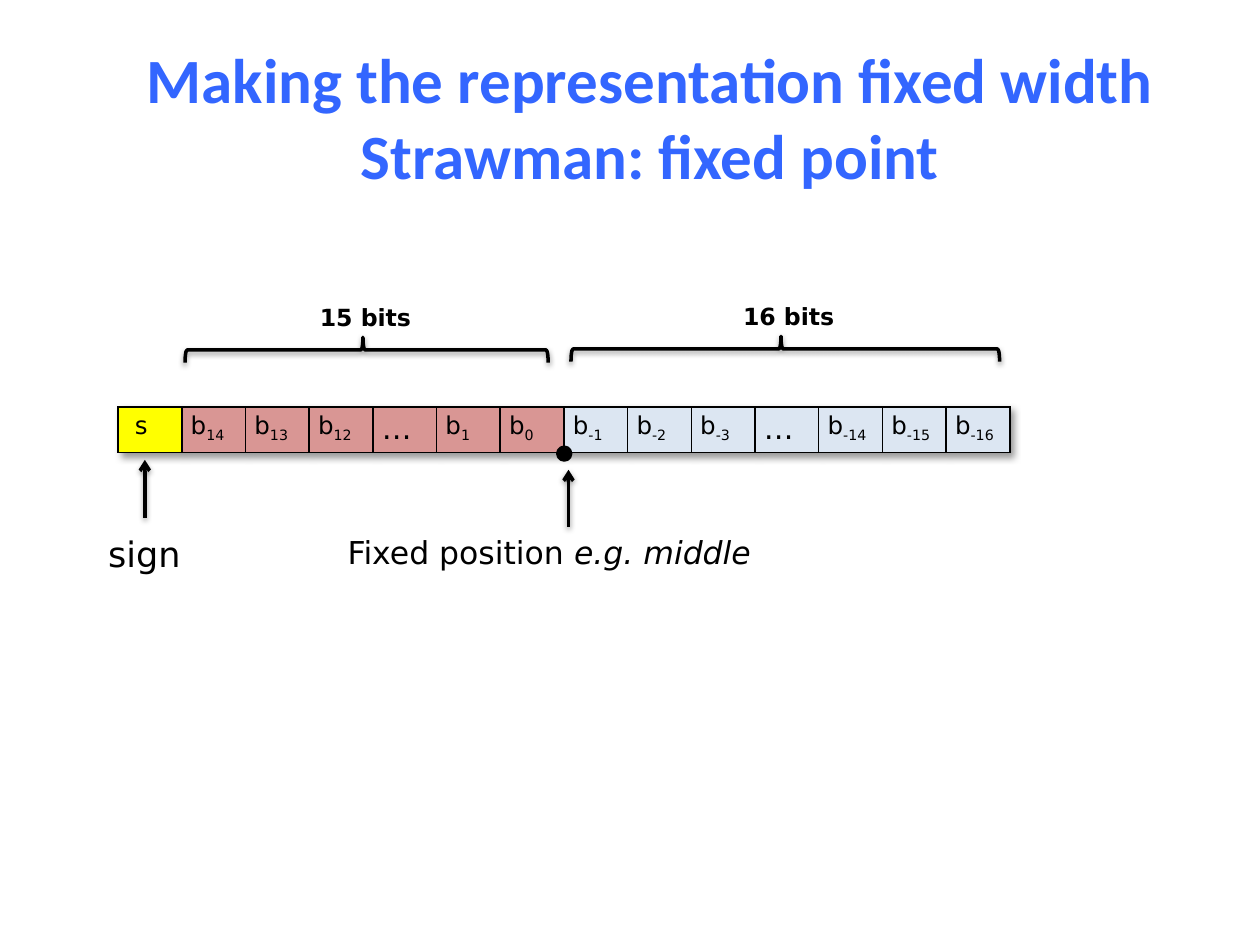
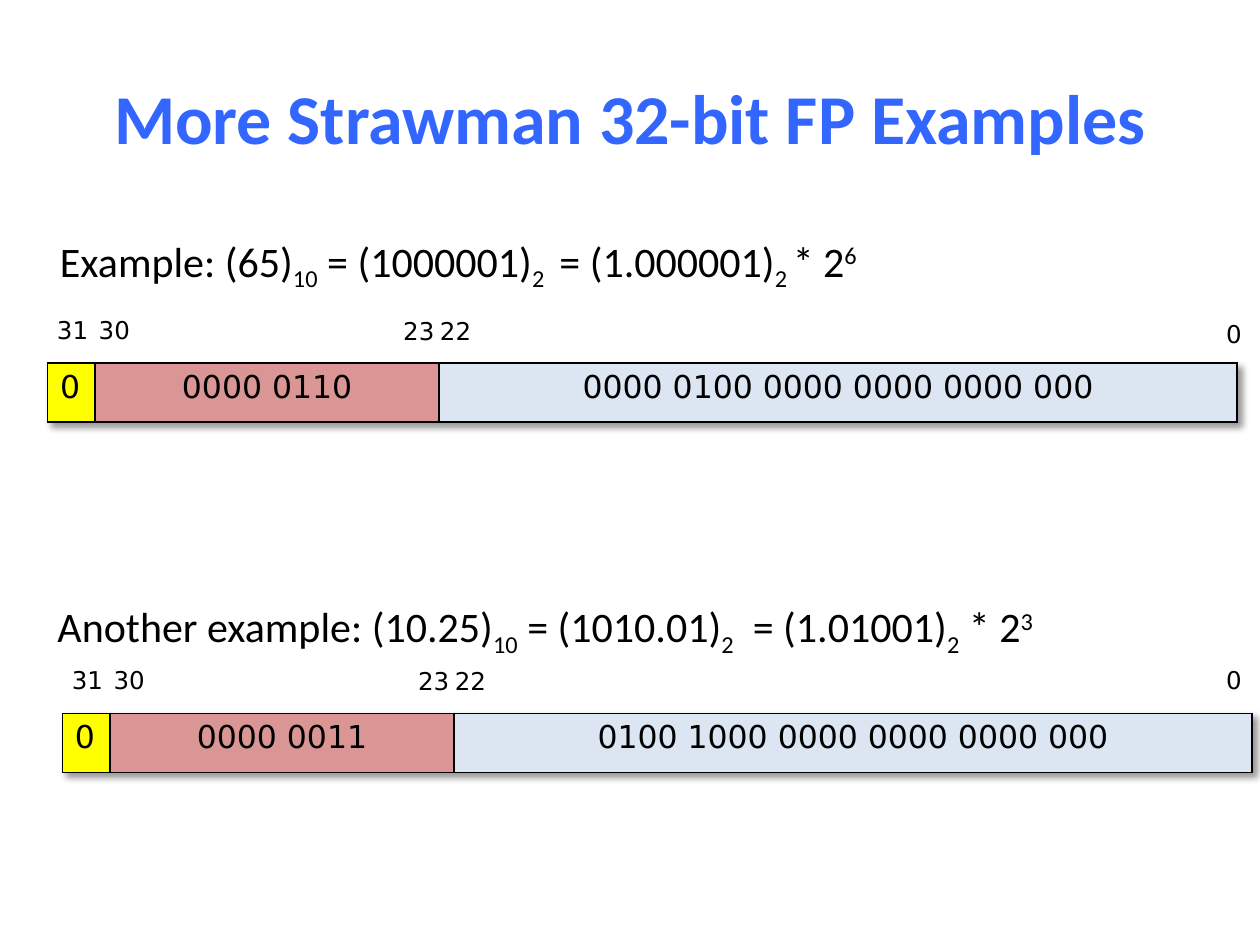
from pptx import Presentation
from pptx.dml.color import RGBColor
from pptx.enum.shapes import MSO_CONNECTOR, MSO_SHAPE
from pptx.enum.text import MSO_ANCHOR, PP_ALIGN
from pptx.oxml import parse_xml
from pptx.util import Cm, Pt

LEFT, CENTER = PP_ALIGN.LEFT, PP_ALIGN.CENTER
TOP, MIDDLE = MSO_ANCHOR.TOP, MSO_ANCHOR.MIDDLE
STRAIGHT = MSO_CONNECTOR.STRAIGHT
BRACE, DOT = MSO_SHAPE.LEFT_BRACE, MSO_SHAPE.OVAL

TITLE_BLUE = RGBColor(0x33, 0x66, 0xFF)
BLACK = RGBColor(0x00, 0x00, 0x00)
YELLOW = RGBColor(0xFF, 0xFF, 0x00)
ROSE = RGBColor(0xD9, 0x96, 0x94)
PALE_BLUE = RGBColor(0xDC, 0xE6, 0xF2)

TITLE_FONT, LABEL_FONT = "Calibri", "DejaVu Sans"
SUB, SUP, ITALIC = "-25000", "30000", "italic"

NAMESPACE = 'xmlns:a="http://schemas.openxmlformats.org/drawingml/2006/main"'
SHADOW = (f'<a:effectLst {NAMESPACE}><a:outerShdw blurRad="%d" dist="%d" dir="%d" rotWithShape="0">'
          '<a:srgbClr val="000000"><a:alpha val="%d"/></a:srgbClr></a:outerShdw></a:effectLst>')
LINE_SHADOW = SHADOW % (40000, 20000, 5400000, 38000)
TABLE_SHADOW = SHADOW % (50800, 38100, 2700000, 40000)
BORDER = (f'<a:%s {NAMESPACE} w="12700"><a:solidFill><a:srgbClr val="000000"/>'
          '</a:solidFill></a:%s>')
ARROWHEAD = f'<a:tailEnd {NAMESPACE} type="arrow"/>'


def write_runs(text_frame, runs, size, font=LABEL_FONT, color=BLACK, bold=False, align=LEFT):
    """Fill the first paragraph with (text, style) runs."""
    paragraph = text_frame.paragraphs[0]
    paragraph.alignment = align
    paragraph.font.name = font
    paragraph.font.size = Pt(size)
    paragraph.font.bold = bold
    paragraph.font.color.rgb = color
    for text, style in runs:
        if text == "\n":
            paragraph.add_line_break()
            continue
        run = paragraph.add_run()
        run.text = text
        if style == ITALIC:
            run.font.italic = True
        elif style:
            run._r.get_or_add_rPr().set("baseline", style)


def add_text(slide, box, runs, size, wrap=False, anchor=TOP, **style):
    """Add a text box; box is left, top, width, height in cm."""
    shape = slide.shapes.add_textbox(*(Cm(length) for length in box))
    shape.text_frame.word_wrap = wrap
    shape.text_frame.vertical_anchor = anchor
    write_runs(shape.text_frame, runs, size, **style)


presentation = Presentation()
presentation.slide_width, presentation.slide_height = Cm(25.4), Cm(19.05)
blank_layout = presentation.slide_layouts[6]
fixed_slide = presentation.slides.add_slide(blank_layout)
examples_slide = presentation.slides.add_slide(blank_layout)

# Titles
fixed_title = [("Making the representation fixed width", None), ("\n", None),
               ("Strawman: fixed point", None)]
examples_title = [("More Strawman 32-bit FP Examples", None)]
for slide, width, runs, size in [(fixed_slide, 23.67, fixed_title, 36),
                                 (examples_slide, 22.86, examples_title, 40)]:
    add_text(slide, (1.27, 0.76, width, 3.18), runs, size, wrap=True, anchor=MIDDLE,
             font=TITLE_FONT, color=TITLE_BLUE, bold=True, align=CENTER)

# Bit cells: runs, size, fill, alignment
bit_cells = [([("s", None)], 14, YELLOW, LEFT)]
for fill, indices in [(ROSE, ["14", "13", "12", "…", "1", "0"]),
                      (PALE_BLUE, ["-1", "-2", "-3", "…", "-14", "-15", "-16"])]:
    for index in indices:
        if index == "…":
            bit_cells.append(([("…", None)], 17, fill, LEFT))
        else:
            bit_cells.append(([("b", None), (index, SUB)], 14, fill, LEFT))

# Worked examples: table left and top, label tops, exponent, fraction
examples = [
    (0.96, 7.32, (6.23, 6.25, 6.3), "0000 0110", "0000 0100 0000 0000 0000 000"),
    (1.26, 14.38, (13.28, 13.31, 13.28), "0000 0011", "0100 1000 0000 0000 0000 000"),
]
FIELD_WIDTHS = [0.96, 6.93, 16.09]

# Tables: slide, left, top, height, column widths, cells, margins of side and top
tables = [(fixed_slide, 2.38, 8.2, 0.91, [17.98 / 14] * 14, bit_cells, (0.18, 0.1))]
for left, top, label_tops, exponent, fraction in examples:
    field_cells = [([("0", None)], 18, YELLOW, LEFT),
                   ([(exponent, None)], 18, ROSE, CENTER),
                   ([(fraction, None)], 18, PALE_BLUE, CENTER)]
    tables.append((examples_slide, left, top, 1.19, FIELD_WIDTHS, field_cells, (0.25, 0.13)))

for slide, left, top, height, widths, cells, (side, edge) in tables:
    frame = slide.shapes.add_table(1, len(cells), Cm(left), Cm(top), Cm(sum(widths)), Cm(height))
    table = frame.table
    table.first_row = table.horz_banding = False
    table._tbl.tblPr.insert(0, parse_xml(TABLE_SHADOW))
    for column, (width, (runs, size, fill, align)) in enumerate(zip(widths, cells)):
        table.columns[column].width = Cm(width)
        cell = table.cell(0, column)
        cell.margin_left = cell.margin_right = Cm(side)
        cell.margin_top = cell.margin_bottom = Cm(edge)
        for border in ("lnL", "lnR", "lnT", "lnB"):
            cell._tc.get_or_add_tcPr().append(parse_xml(BORDER % (border, border)))
        cell.fill.solid()
        cell.fill.fore_color.rgb = fill
        write_runs(cell.text_frame, runs, size, align=align)
        if runs[0][0] == "s":
            cell.margin_left = Cm(0.34)

# Braces over the bit groups: span left, top, span width, caption and its place
BRACE_DEPTH = 0.51
for left, top, span, caption, caption_left, caption_top in [
        (3.73, 6.8, 7.32, "15 bits", 6.2, 5.99),
        (11.51, 6.78, 8.64, "16 bits", 14.73, 5.97)]:
    brace = fixed_slide.shapes.add_shape(
        BRACE, Cm(left + (span - BRACE_DEPTH) / 2), Cm(top - (span - BRACE_DEPTH) / 2),
        Cm(BRACE_DEPTH), Cm(span))
    brace.rotation = 90
    brace.adjustments[0], brace.adjustments[1] = 0.08, 0.51
    brace.fill.background()
    brace.line.color.rgb = BLACK
    brace.line.width = Pt(2)
    brace._element.spPr.append(parse_xml(LINE_SHADOW))
    add_text(fixed_slide, (caption_left, caption_top, 2.36, 0.84), [(caption, None)], 13.5,
             bold=True)

# Binary point
point = fixed_slide.shapes.add_shape(DOT, Cm(11.25), Cm(9.02), Cm(0.25), Cm(0.25))
point.shadow.inherit = False
point.fill.solid()
point.fill.fore_color.rgb = BLACK
point.line.color.rgb = BLACK
point.line.width = Pt(2.25)

# Arrows up to the sign and the binary point
for x, start, end in [(2.92, 10.44, 9.27), (11.46, 10.62, 9.47)]:
    arrow = fixed_slide.shapes.add_connector(STRAIGHT, Cm(x), Cm(start), Cm(x), Cm(end))
    arrow.line.color.rgb = BLACK
    arrow.line.width = Pt(2)
    arrow.line._get_or_add_ln().append(parse_xml(ARROWHEAD))
    arrow._element.spPr.append(parse_xml(LINE_SHADOW))

add_text(fixed_slide, (1.93, 10.62, 1.98, 1.12), [("sign", None)], 20)
add_text(fixed_slide, (6.76, 10.62, 9.37, 1.02),
         [("Fixed position ", None), ("e.g. middle", ITALIC)], 18, wrap=True)

# Bit numbers above the example tables
for left, top, (first_top, middle_top, last_top), exponent, fraction in examples:
    for number, x, y, width in [("31", left - 0.06, first_top, 1.14),
                                ("30", left + 0.78, first_top, 1.14),
                                ("23", left + 6.92, middle_top, 1.14),
                                ("22", left + 7.66, middle_top, 1.14),
                                ("0", 24.47, last_top, 0.84)]:
        add_text(examples_slide, (x, y, width, 0.86), [(number, None)], 14)

# Conversions
add_text(examples_slide, (0.96, 4.62, 22.25, 1.6),
         [("Example: (65)", None), ("10", SUB), (" = (1000001)", None), ("2 ", SUB),
          (" = (1.000001)", None), ("2 ", SUB), ("* 2", None), ("6", SUP)],
         24, wrap=True, font=TITLE_FONT)
add_text(examples_slide, (0.91, 11.99, 27.56, 1.27),
         [("Another example: (10.25)", None), ("10", SUB), (" = (1010.01)", None), ("2", SUB),
          ("  = (1.01001)", None), ("2", SUB), (" * 2", None), ("3", SUP)],
         24, wrap=True, font=TITLE_FONT)

presentation.save("out.pptx")
